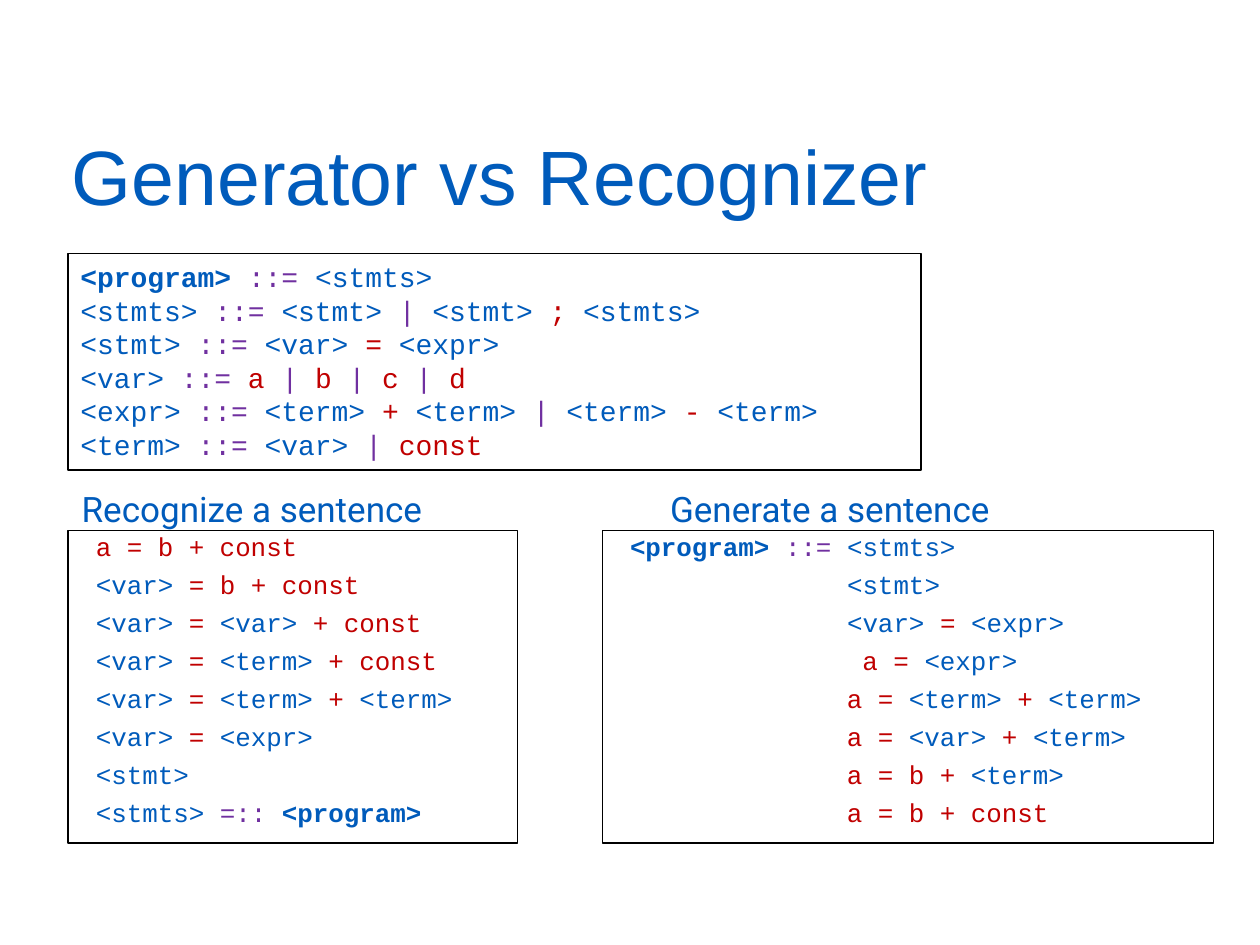
"""Build a slide that contrasts generating and recognizing a sentence of a grammar."""
from itertools import groupby

from lxml.etree import SubElement
from pptx import Presentation
from pptx.dml.color import RGBColor
from pptx.enum.text import MSO_ANCHOR as Anchor, MSO_AUTO_SIZE as AutoSize, PP_ALIGN as Align
from pptx.oxml.ns import qn
from pptx.util import Inches, Pt

BLUE = RGBColor(0x00, 0x5B, 0xBB)
PURPLE = RGBColor(0x70, 0x30, 0xA0)
RED = RGBColor(0xC0, 0x00, 0x00)
BLACK = RGBColor(0x00, 0x00, 0x00)

LEFT, RIGHT = 0.54, 4.78
HEADING_TOP, LIST_TOP = 3.82, 4.21
LIST_HEIGHT = 2.48
INDENT = " " * 14

GRAMMAR = [
    "<program> ::= <stmts>",
    "<stmts> ::= <stmt> | <stmt> ; <stmts>",
    "<stmt> ::= <var> = <expr>",
    "<var> ::= a | b | c | d",
    "<expr> ::= <term> + <term> | <term> - <term>",
    "<term> ::= <var> | const",
]
RECOGNIZED = [
    "a = b + const",
    "<var> = b + const",
    "<var> = <var> + const",
    "<var> = <term> + const",
    "<var> = <term> + <term>",
    "<var> = <expr>",
    "<stmt>",
    "<stmts> =:: <program>",
]
GENERATED = ["<program> ::= <stmts>"] + [INDENT + step for step in (
    "<stmt>",
    "<var> = <expr>",
    " a = <expr>",
    "a = <term> + <term>",
    "a = <var> + <term>",
    "a = b + <term>",
    "a = b + const",
)]


def token_style(token):
    """Return the colour and weight of one grammar token."""
    if token.startswith("<"):
        return BLUE, token == "<program>"
    return (PURPLE if token in ("::=", "=::", "|") else RED), False


def write(shape, lines, box, font, size, code=False, border=False,
          margin=0, line_spacing=1.0, space_before=0, anchor=Anchor.TOP):
    """Place a shape and fill it with formatted lines."""
    shape.left, shape.top, shape.width, shape.height = map(Inches, box)
    if border:
        shape.line.color.rgb = BLACK
        shape.line.width = Pt(0.75)
    frame = shape.text_frame
    frame.word_wrap = True
    frame.auto_size = AutoSize.NONE
    frame.vertical_anchor = anchor
    for number, line in enumerate(lines):
        paragraph = frame.add_paragraph() if number else frame.paragraphs[0]
        properties = paragraph._p.get_or_add_pPr()
        properties.set("marL", str(Inches(margin)))
        properties.set("indent", "0")
        SubElement(properties, qn("a:buNone"))
        paragraph.alignment = Align.LEFT
        paragraph.line_spacing = line_spacing
        paragraph.space_before = Pt(space_before if number else 0)
        tokens = line.split(" ") if code else [line]
        style_of = token_style if code else lambda token: (BLUE, False)
        groups = [(style, " ".join(group)) for style, group in groupby(tokens, style_of)]
        for position, ((color, bold), text) in enumerate(groups, 1):
            run = paragraph.add_run()
            run.text = text + (" " if position < len(groups) else "")
            run.font.name = font
            run.font.size = Pt(size)
            run.font.bold = bold
            run.font.color.rgb = color


presentation = Presentation()
presentation.slide_width, presentation.slide_height = Inches(10), Inches(7.5)
slide = presentation.slides.add_slide(presentation.slide_layouts[3])
title, recognizer, generator = slide.placeholders

write(title, ["Generator vs Recognizer"], (0.47, 1.05, 8.62, 0.95), "Arial", 44,
      line_spacing=0.9)

grammar = slide.shapes.add_textbox(0, 0, 0, 0)
write(grammar, GRAMMAR, (LEFT, 2.01, 6.77, 1.72), "Courier New", 16,
      code=True, border=True)

for shape, steps, left, width in (
    (recognizer, RECOGNIZED, LEFT, 3.57),
    (generator, GENERATED, RIGHT, 4.85),
):
    write(shape, steps, (left, LIST_TOP, width, LIST_HEIGHT), "Courier New", 14.8,
          code=True, border=True, margin=0.12, line_spacing=0.8, space_before=7.5)

for heading, left in (("Recognize a sentence", 0.55), ("Generate a sentence", 5.22)):
    label = slide.shapes.add_textbox(0, 0, 0, 0)
    write(label, [heading], (left, HEADING_TOP, 3.54, 0.44), "Roboto", 20)

presentation.save("out.pptx")
